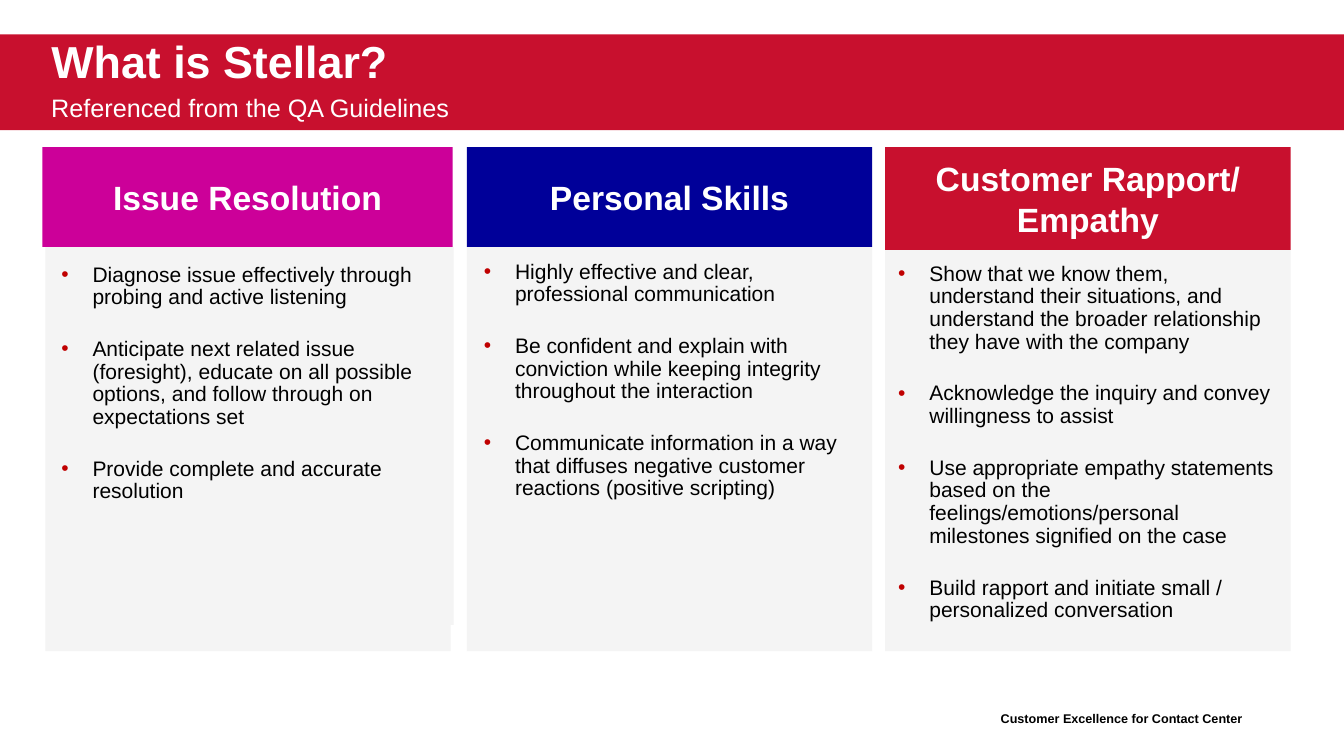
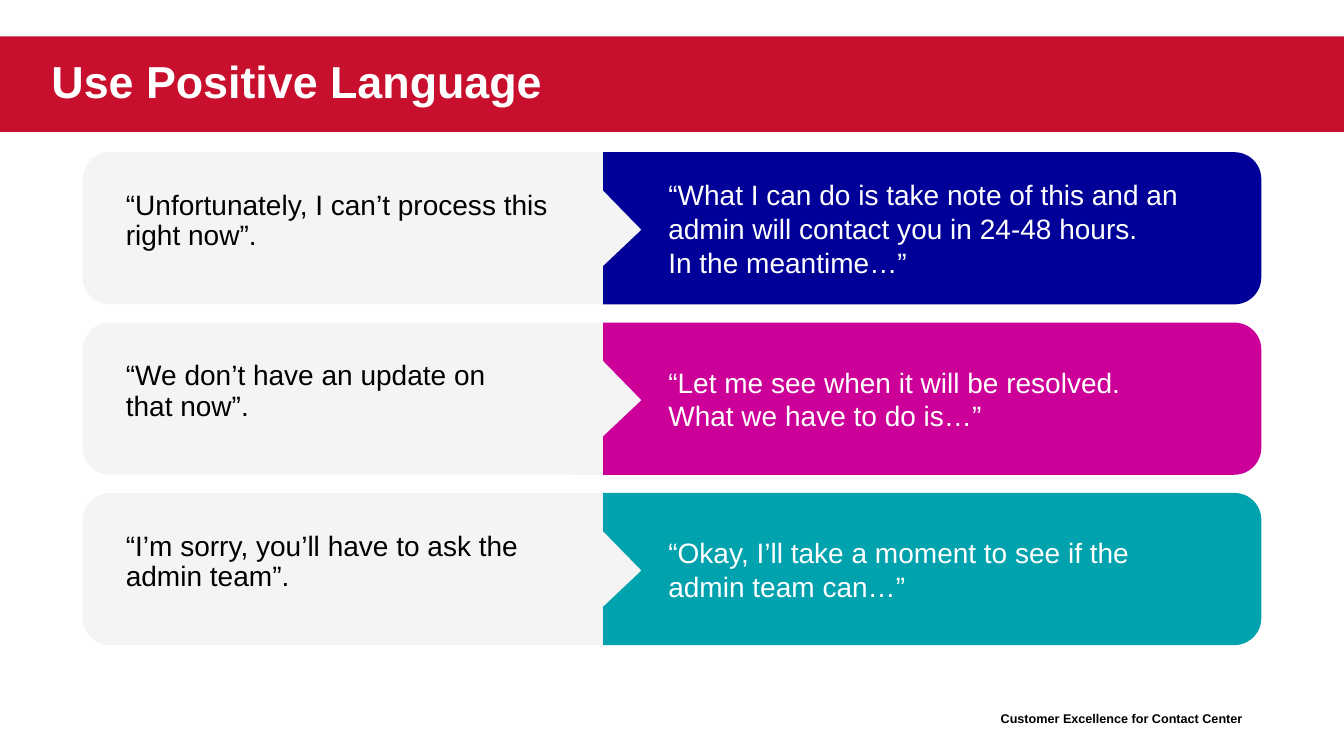
from dataclasses import dataclass
from math import cos, radians, sin

from lxml.etree import SubElement
from pptx import Presentation
from pptx.dml.color import RGBColor
from pptx.enum.shapes import MSO_SHAPE
from pptx.enum.text import MSO_ANCHOR, MSO_AUTO_SIZE, PP_ALIGN
from pptx.oxml.ns import qn
from pptx.util import Inches, Pt


@dataclass(frozen=True)
class Theme:
    font: str = "Arial"
    red: str = "C8102E"
    blue: str = "000099"
    pink: str = "CC0099"
    teal: str = "00A3AD"
    gray: str = "F4F4F4"
    dot: str = "C00000"
    black: str = "000000"
    white: str = "FFFFFF"
    title: int = 32
    head: int = 24
    quote: int = 20
    sub: int = 18
    body: int = 15
    foot: int = 9


THEME = Theme()
WIDE, HIGH = 13.33, 7.5
FOOTER = "Customer Excellence for Contact Center"


def add_dot(par, color):
    """Give a paragraph a hanging round bullet."""
    props = par._p.get_or_add_pPr()
    props.set("marL", str(Inches(0.31)))
    props.set("indent", str(Inches(-0.31)))
    SubElement(SubElement(props, qn("a:buClr")), qn("a:srgbClr")).set("val", color)
    SubElement(props, qn("a:buFont")).set("typeface", THEME.font)
    SubElement(props, qn("a:buChar")).set("char", "•")


def write(shape, *lines, size, color=THEME.black, bold=False, line=1.0,
          align=PP_ALIGN.LEFT, anchor=MSO_ANCHOR.TOP, dot=None, after=0, wrap=True):
    """Fill a shape with one formatted paragraph per line."""
    frame = shape.text_frame
    frame.word_wrap = wrap
    frame.auto_size = MSO_AUTO_SIZE.NONE
    frame.vertical_anchor = anchor
    for i, words in enumerate(lines):
        par = frame.add_paragraph() if i else frame.paragraphs[0]
        par.text = words
        if dot:
            add_dot(par, dot)
        par.alignment = align
        par.line_spacing = line
        par.space_before = Pt(0)
        par.space_after = Pt(after)
        for run in par.runs:
            run.font.name = THEME.font
            run.font.size = Pt(size)
            run.font.bold = bold
            run.font.color.rgb = RGBColor.from_string(color)


class Deck:
    def __init__(self, theme):
        self.theme = theme
        self.prs = Presentation()
        self.prs.slide_width = Inches(WIDE)
        self.prs.slide_height = Inches(HIGH)
        self.slide = None

    def page(self, title, band, top, width):
        """Start a slide with its red band, title and footer."""
        look = self.theme
        self.slide = self.prs.slides.add_slide(self.prs.slide_layouts[5])
        self.block(0, band, WIDE, 0.95, look.red)
        head = self.slide.shapes.title
        head.left, head.top = Inches(0.41), Inches(top)
        head.width, head.height = Inches(width), Inches(0.59)
        write(head, title, size=look.title, color=look.white, bold=True,
              line=0.9, anchor=MSO_ANCHOR.MIDDLE)
        self.slide.shapes._spTree.append(head._element)  # title above the band
        self.text(7.08, 7.02, 5.34, 0.23, FOOTER, size=look.foot, bold=True,
                  line=0.9, align=PP_ALIGN.RIGHT)

    def paint(self, shape, fill):
        shape.shadow.inherit = False
        shape.fill.solid()
        shape.fill.fore_color.rgb = RGBColor.from_string(fill)
        shape.line.fill.background()
        return shape

    def block(self, x, y, w, h, fill, kind=MSO_SHAPE.RECTANGLE):
        shape = self.slide.shapes.add_shape(
            kind, Inches(x), Inches(y), Inches(w), Inches(h))
        return self.paint(shape, fill)

    def text(self, x, y, w, h, *lines, **style):
        box = self.slide.shapes.add_textbox(
            Inches(x), Inches(y), Inches(w), Inches(h))
        write(box, *lines, **style)

    def column(self, x, w, split, fill, head, inset, lines):
        """Draw a header over a gray panel with a bullet list."""
        look, top, base = self.theme, 1.46, 6.46
        px, pw = inset[0], 4.02
        self.block(px, split, pw, base - split, look.gray)
        bar = self.block(x, top, w, split - top, fill)
        write(bar, *head, size=look.head, color=look.white, bold=True,
              align=PP_ALIGN.CENTER, anchor=MSO_ANCHOR.MIDDLE)
        self.text(*inset[1:], 3.75, *lines, size=look.body, line=0.9,
                  dot=look.dot, after=20.7)

    def arrow(self, x, y, w, h, tip, fill):
        """Draw a panel with round left corners and a point on its right."""
        r, right, low = 0.27, x + w, y + h
        spots = [(right, y), (right, y + 0.38), (right + tip, y + 0.77),
                 (right, y + 1.13), (right, low)]
        for cy, start in ((low - r, 90), (y + r, 180)):
            for turn in range(start, start + 91, 6):
                a = radians(turn)
                spots.append((x + r + r * cos(a), cy + r * sin(a)))
        pts = [(Inches(px), Inches(py)) for px, py in spots]
        pen = self.slide.shapes.build_freeform(*pts[0])
        pen.add_line_segments(pts[1:], close=True)
        self.paint(pen.convert_to_shape(), fill)

    def pair(self, y, fill, bad, good):
        """Draw a row that turns a poor phrase into a better one."""
        look, x, mid, end, h = self.theme, 0.82, 5.98, 12.51, 1.51
        long = end - mid
        side = self.block((mid + end - h) / 2, y + (h - long) / 2, h, long,
                          fill, MSO_SHAPE.ROUND_2_SAME_RECTANGLE)
        side.adjustments[0] = 0.177
        side.adjustments[1] = 0
        side.rotation = 90
        self.arrow(x, y, mid - x, h, 0.38, look.gray)
        self.text(1.15, y + 0.34, 4.43, 0.83, bad, size=look.quote, line=0.9)
        self.text(6.53, y, 5.35, h, good, size=look.quote, color=look.white,
                  anchor=MSO_ANCHOR.MIDDLE)


def skills(deck):
    look = deck.theme
    deck.page("What is Stellar?", 0.34, 0.34, 6.31)
    deck.text(0.41, 0.87, 4.18, 0.4, "Referenced from the QA Guidelines",
              size=look.sub, color=look.white, wrap=False)
    deck.block(0.48, 2.45, 4.02, 3.75, look.gray)
    # Each inset: panel left, then list left, top and width
    columns = (
        (0.42, 4.07, 2.45, look.pink, ["Issue Resolution"], (0.45, 0.51, 2.57, 3.9), [
            "Diagnose issue effectively through probing and active listening",
            "Anticipate next related issue (foresight), educate on all possible "
            "options, and follow through on expectations set",
            "Provide complete and accurate resolution"]),
        (4.63, 4.02, 2.45, look.blue, ["Personal Skills"], (4.63, 4.7, 2.54, 3.88), [
            "Highly effective and clear, professional communication",
            "Be confident and explain with conviction while keeping integrity "
            "throughout the interaction",
            "Communicate information in a way that diffuses negative customer "
            "reactions (positive scripting)"]),
        (8.78, 4.02, 2.48, look.red, ["Customer Rapport/", "Empathy"],
         (8.78, 8.81, 2.56, 3.96), [
            "Show that we know them, understand their situations, and understand "
            "the broader relationship they have with the company",
            "Acknowledge the inquiry and convey willingness to assist",
            "Use appropriate empathy statements based on the "
            "feelings/emotions/personal milestones signified on the case",
            "Build rapport and initiate small / personalized conversation"]),
    )
    for column in columns:
        deck.column(*column)


def phrases(deck):
    look = deck.theme
    deck.page("Use Positive Language", 0.36, 0.54, 8.58)
    rows = (
        (look.blue, "“Unfortunately, I can’t process this right now”.",
         "“What I can do is take note of this and an admin will contact you "
         "in 24-48 hours.\nIn the meantime…”"),
        (look.pink, "“We don’t have an update on\nthat now”.",
         "“Let me see when it will be resolved. What we have to do is…”"),
        (look.teal, "“I’m sorry, you’ll have to ask the admin team”.",
         "“Okay, I’ll take a moment to see if the admin team can…”"),
    )
    for i, row in enumerate(rows):
        deck.pair(1.51 + 1.69 * i, *row)


def main():
    deck = Deck(THEME)
    skills(deck)
    phrases(deck)
    deck.prs.save("out.pptx")


if __name__ == "__main__":
    main()
